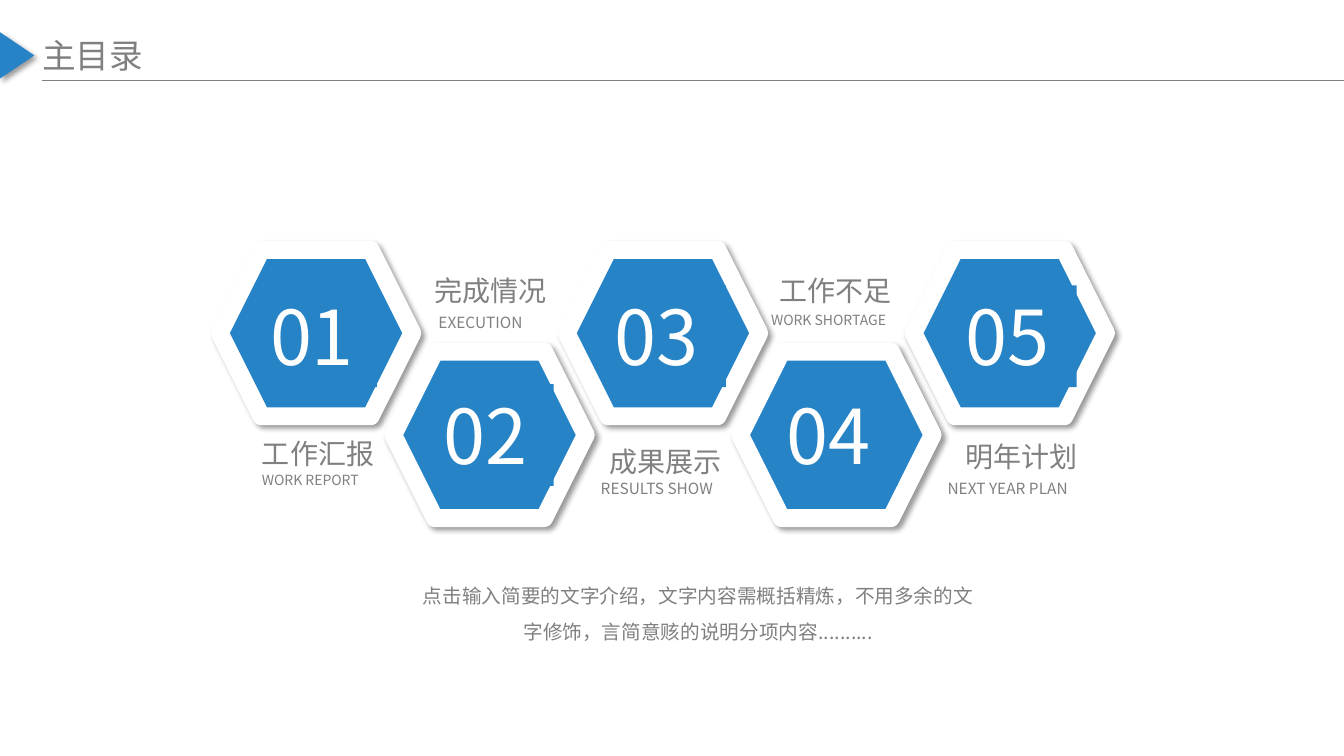
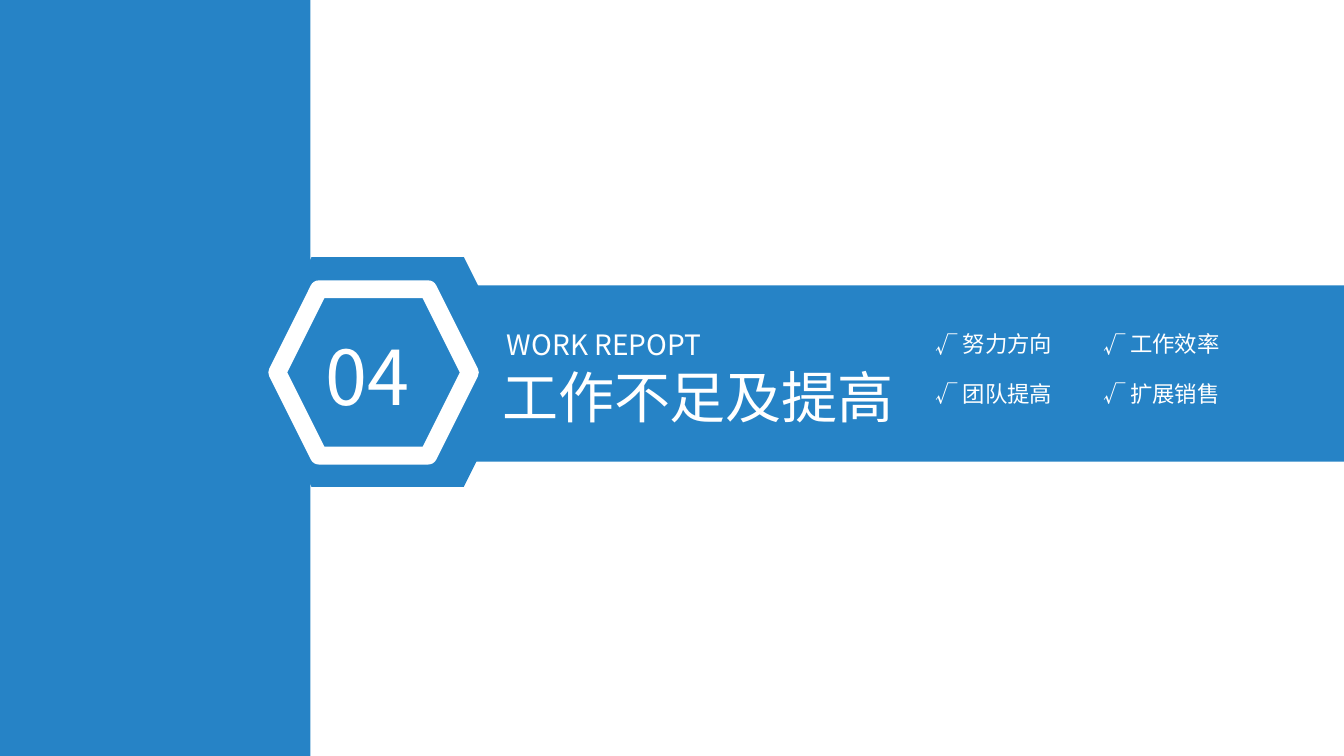
from dataclasses import dataclass

from lxml.etree import SubElement
from pptx import Presentation
from pptx.dml.color import RGBColor
from pptx.enum.shapes import MSO_CONNECTOR, MSO_SHAPE
from pptx.enum.text import MSO_ANCHOR, MSO_AUTO_SIZE, PP_ALIGN
from pptx.oxml.ns import qn
from pptx.util import Inches, Pt


@dataclass(frozen=True)
class Theme:
    font: str = "Noto Sans CJK SC"
    blue: RGBColor = RGBColor(0x26, 0x83, 0xC6)
    grey: RGBColor = RGBColor(0x80, 0x80, 0x80)
    white: RGBColor = RGBColor(0xFF, 0xFF, 0xFF)
    number: int = 54
    section: int = 40
    heading: int = 24
    label: int = 20
    item: int = 16
    description: int = 14
    hexagon_width: float = 1.91
    hexagon_height: float = 1.65
    outline: float = 12.75
    rule: float = 0.75


THEME = Theme()

CONTENTS_LEFT, CONTENTS_STEP = 2.18, 1.72
CONTENTS_TOPS = (2.48, 3.49)
NUMBER_DROPS = (0.35, 0.32)
CONTENTS = [
    ("工作汇报", (2.5, 4.28), "WORK REPORT", (2.5, 4.63, 1.35, 0.27), 10, (2.58, 1.16)),
    ("完成情况", (4.21, 2.66), "EXECUTION", (4.25, 3.06, 1.19, 0.29), 11, (4.3, 1.19)),
    ("成果展示", (5.95, 4.36), "RESULTS SHOW", (5.86, 4.7, 1.55, 0.29), 11, (6, 1.2)),
    ("工作不足", (7.63, 2.66), "WORK SHORTAGE", (7.55, 3.04, 1.58, 0.27), 10, (7.7, 1.2)),
    ("明年计划", (9.48, 4.31), "NEXT YEAR PLAN", (9.3, 4.7, 1.69, 0.29), 11, (9.48, 1.2)),
]
DESCRIPTION = "点击输入简要的文字介绍，文字内容需概括精炼，不用多余的文字修饰，言简意赅的说明分项内容.........."
CHECKLISTS = [
    (9.18, ["努力方向", "团队提高"]),
    (10.84, ["工作效率", "扩展销售"]),
]


def set_attributes(target, values):
    for name, value in values.items():
        setattr(target, name, value)


def place(box, bounds):
    names = ("left", "top", "width", "height")
    set_attributes(box, dict(zip(names, map(Inches, bounds))))


def prepare_frame(frame, wrap=False):
    set_attributes(frame, {
        "word_wrap": wrap,
        "vertical_anchor": MSO_ANCHOR.TOP,
        "auto_size": MSO_AUTO_SIZE.SHAPE_TO_FIT_TEXT,
    })


def write(para, text, size, color, align=PP_ALIGN.LEFT, spacing=1.0, before=0):
    set_attributes(para, {
        "alignment": align,
        "line_spacing": spacing,
        "space_before": Pt(before),
    })
    span = para.add_run()
    span.text = text
    set_attributes(span.font, {"name": THEME.font, "size": Pt(size), "bold": False})
    span.font.color.rgb = color
    SubElement(span._r.get_or_add_rPr(), qn("a:ea"), typeface=THEME.font)


def add_text(shapes, bounds, text, size, color, wrap=False, **layout):
    box = shapes.add_textbox(*map(Inches, bounds))
    prepare_frame(box.text_frame, wrap)
    write(box.text_frame.paragraphs[0], text, size, color, **layout)


def add_shadow(shape):
    effects = shape.element.spPr.find(qn("a:effectLst"))
    shadow = SubElement(effects, qn("a:outerShdw"), blurRad=str(Pt(4)), dist=str(Pt(3)),
                        dir="2700000", algn="tl", rotWithShape="0")
    color = SubElement(shadow, qn("a:srgbClr"), val="000000")
    SubElement(color, qn("a:alpha"), val="40000")


def add_block(shapes, kind, bounds, outlined=False, shadowed=False):
    shape = shapes.add_shape(kind, *map(Inches, bounds))
    shape.shadow.inherit = False
    shape.fill.solid()
    shape.fill.fore_color.rgb = THEME.blue
    if outlined:
        shape.line.color.rgb = THEME.white
        shape.line.width = Pt(THEME.outline)
    else:
        shape.line.fill.background()
    if shadowed:
        add_shadow(shape)
    return shape


def add_hexagon(shapes, left, top, shadowed=False):
    bounds = (left, top, THEME.hexagon_width, THEME.hexagon_height)
    add_block(shapes, MSO_SHAPE.HEXAGON, bounds, outlined=True, shadowed=shadowed)


def bring_to_front(page, box):
    page.shapes.element.append(box.element)


def set_title(page, bounds, text, size, color):
    title = page.shapes.title
    place(title, bounds)
    prepare_frame(title.text_frame)
    write(title.text_frame.paragraphs[0], text, size, color)
    bring_to_front(page, title)


def add_rule(page, left, top, right):
    rule = page.shapes.add_connector(MSO_CONNECTOR.STRAIGHT, *map(Inches, (left, top, right, top)))
    rule.line.color.rgb = THEME.grey
    rule.line.width = Pt(THEME.rule)
    SubElement(rule.element.spPr, qn("a:effectLst"))


def add_header(page, text):
    set_title(page, (0.32, 0.3, 1.21, 0.5), text, THEME.heading, THEME.grey)
    add_rule(page, 0.42, 0.8, 13.33)
    marker = add_block(page.shapes, MSO_SHAPE.ISOSCELES_TRIANGLE, (-0.06, 0.38, 0.46, 0.34), shadowed=True)
    marker.rotation = 90


def add_number_tile(page, index, number_left, number_width):
    shapes = page.shapes.add_group_shape().shapes
    row = index % 2
    top = CONTENTS_TOPS[row]
    add_hexagon(shapes, CONTENTS_LEFT + index * CONTENTS_STEP, top, shadowed=True)
    bounds = (number_left, top + NUMBER_DROPS[row], number_width, 1.01)
    plate = add_block(shapes, MSO_SHAPE.RECTANGLE, bounds)
    prepare_frame(plate.text_frame)
    write(plate.text_frame.paragraphs[0], f"{index + 1:02}", THEME.number, THEME.white)


def fill_checklist(page, box, left, items):
    place(box, (left, 3.23, 1.39, 0.91))
    frame = box.text_frame
    prepare_frame(frame)
    for index, item in enumerate(items):
        para = frame.add_paragraph() if index else frame.paragraphs[0]
        properties = para._p.get_or_add_pPr()
        properties.set("marL", str(Inches(0.27)))
        properties.set("indent", str(-Inches(0.27)))
        SubElement(properties, qn("a:buFont"), typeface=THEME.font)
        SubElement(properties, qn("a:buChar"), char="√")
        write(para, item, THEME.item, THEME.white, before=16 if index else 0)
    bring_to_front(page, box)


def build_contents(deck):
    page = deck.slides.add_slide(deck.slide_layouts.get_by_name("Title Only"))
    for label, corner, caption, caption_bounds, caption_size, _ in CONTENTS:
        add_text(page.shapes, (*corner, 1.32, 0.44), label, THEME.label, THEME.grey)
        add_text(page.shapes, caption_bounds, caption, caption_size, THEME.grey)
    add_text(page.shapes, (4.09, 5.63, 5.67, 0.77), DESCRIPTION, THEME.description, THEME.grey,
             wrap=True, align=PP_ALIGN.CENTER, spacing=1.5)
    for index, entry in enumerate(CONTENTS):
        add_number_tile(page, index, *entry[-1])
    add_header(page, "主目录")


def build_section(deck):
    page = deck.slides.add_slide(deck.slide_layouts.get_by_name("Two Content"))
    backdrop = page.shapes.add_group_shape().shapes
    add_block(backdrop, MSO_SHAPE.RECTANGLE, (0, 0, 3.08, 7.5))
    add_block(backdrop, MSO_SHAPE.HEXAGON, (2.52, 2.55, 2.65, 2.28))
    add_block(page.shapes, MSO_SHAPE.RECTANGLE, (4.31, 2.83, 9.02, 1.75))
    badge = page.shapes.add_group_shape().shapes
    add_hexagon(badge, 2.75, 2.87)
    add_text(badge, (3.13, 3.22, 1.2, 1.01), "04", THEME.number, THEME.white)
    set_title(page, (4.88, 3.55, 4.13, 0.77), "工作不足及提高", THEME.section, THEME.white)
    add_text(page.shapes, (4.93, 3.2, 2.66, 0.44), "WORK REPOPT", THEME.label, THEME.white)
    columns = [box for box in page.placeholders if box.placeholder_format.idx]
    for box, (left, items) in zip(columns, CHECKLISTS):
        fill_checklist(page, box, left, items)


def main():
    deck = Presentation()
    set_attributes(deck, {"slide_width": Inches(13.33), "slide_height": Inches(7.5)})
    build_contents(deck)
    build_section(deck)
    deck.save("out.pptx")


if __name__ == "__main__":
    main()
